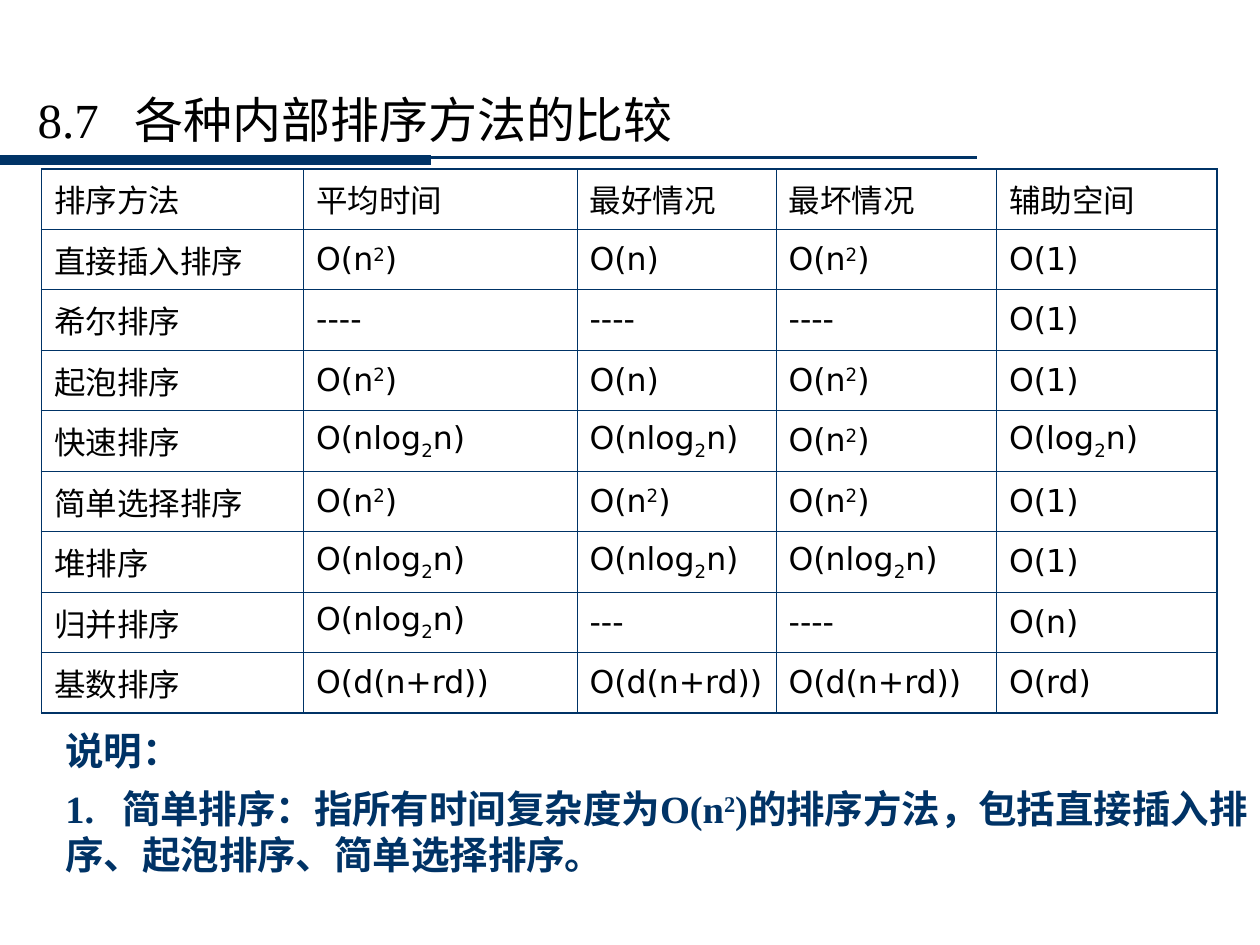
from lxml import etree
from pptx import Presentation
from pptx.enum import text as t
from pptx.dml.color import RGBColor
from pptx.oxml.ns import qn
from pptx.util import Inches, Pt

COLORS = {"navy": "003366", "black": "000000"}
TITLE = "8.7\t各种内部排序方法的比较"
# ^2 is a raised 2, _2 a lowered 2
ROWS = [
    ("排序方法", "平均时间", "最好情况", "最坏情况", "辅助空间"),
    ("直接插入排序", "O(n^2)", "O(n)", "O(n^2)", "O(1)"),
    ("希尔排序", "----", "----", "----", "O(1)"),
    ("起泡排序", "O(n^2)", "O(n)", "O(n^2)", "O(1)"),
    ("快速排序", "O(nlog_2n)", "O(nlog_2n)", "O(n^2)", "O(log_2n)"),
    ("简单选择排序", "O(n^2)", "O(n^2)", "O(n^2)", "O(1)"),
    ("堆排序", "O(nlog_2n)", "O(nlog_2n)", "O(nlog_2n)", "O(1)"),
    ("归并排序", "O(nlog_2n)", "---", "----", "O(n)"),
    ("基数排序", "O(d(n+rd))", "O(d(n+rd))", "O(d(n+rd))", "O(rd)"),
]
NOTES = [
    "说明：",
    "1.\t简单排序：指所有时间复杂度为O(n^2)的排序方法，包括直接插入排序、起泡排序、简单选择排序。",
]
WIDTHS = [2.08, 2.17, 1.58, 1.75, 1.75]
ROW_H = 0.48
RULES = [(7.75, 1.25, 1.5), (3.42, 1.27, 6)]  # length, top, weight
SHIFTS = {"^2": "30000", "_2": "-25000"}


def rgb(name):
    return RGBColor.from_string(COLORS[name])


def write(para, words, size, face, color, bold=False, tab=None):
    if tab:
        tabs = etree.SubElement(para._p.get_or_add_pPr(), qn("a:tabLst"))
        etree.SubElement(tabs, qn("a:tab"), pos=str(Inches(tab)), algn="l")
    font = para.font
    font.size, font.name, font.bold = Pt(size), face, bold
    font.color.rgb = rgb(color)
    for mark in SHIFTS:
        words = words.replace(mark, f"|{mark}|")
    for part in words.split("|"):
        run = para.add_run()
        run.text = part[1:] if part in SHIFTS else part
        if part in SHIFTS:
            run._r.get_or_add_rPr().set("baseline", SHIFTS[part])


def add_box(slide, left, top, width, height):
    frame = slide.shapes.add_textbox(*map(Inches, (left, top, width, height))).text_frame
    frame.word_wrap = True
    return frame


def add_rule(slide, length, top, weight):
    line = slide.shapes.add_connector(1, 0, Inches(top), Inches(length), Inches(top))
    line.line.color.rgb = rgb("navy")
    line.line.width = Pt(weight)
    etree.SubElement(line._element.spPr, qn("a:effectLst"))


def set_edges(cell, weights):
    """Border weights in points: left, right, top, bottom."""
    props = cell._tc.get_or_add_tcPr()
    for i, (side, weight) in enumerate(zip("LRTB", weights)):
        edge = etree.Element(qn(f"a:ln{side}"), w=str(Pt(weight)))
        fill = etree.SubElement(edge, qn("a:solidFill"))
        etree.SubElement(fill, qn("a:srgbClr"), val=COLORS["navy"])
        props.insert(i, edge)


def add_grid(slide):
    rows, cols = len(ROWS), len(WIDTHS)
    table = slide.shapes.add_table(
        rows, cols, Inches(0.33), Inches(1.34),
        Inches(sum(WIDTHS)), Inches(ROW_H * rows)).table
    table.first_row = table.horz_banding = False
    for col, width in zip(table.columns, WIDTHS):
        col.width = Inches(width)
    thin, thick, base = 0.45, 1.08, 1.47
    for r, row in enumerate(ROWS):
        table.rows[r].height = Inches(ROW_H)
        for c, words in enumerate(row):
            cell = table.cell(r, c)
            cell.fill.background()
            cell.vertical_anchor = t.MSO_ANCHOR.MIDDLE
            write(cell.text_frame.paragraphs[0], words, 18, "DejaVu Sans", "black")
            set_edges(cell, (
                thick if c == 0 else thin,
                thick if c == cols - 1 else thin,
                thick if r == 0 else thin,
                base if r == rows - 1 else thin))


def main():
    deck = Presentation()
    deck.slide_width, deck.slide_height = Inches(10), Inches(7.5)
    slide = deck.slides.add_slide(deck.slide_layouts[6])
    for rule in RULES:
        add_rule(slide, *rule)

    title = add_box(slide, 0.2, 0.82, 8.42, 0.25)
    title.vertical_anchor = t.MSO_ANCHOR.MIDDLE
    write(title.paragraphs[0], TITLE, 28, "Times New Roman", "black", tab=0.77)

    add_grid(slide)

    notes = add_box(slide, 0.42, 5.72, 9.58, 1.3)
    for i, words in enumerate(NOTES):
        para = notes.add_paragraph() if i else notes.paragraphs[0]
        if i:
            para.space_before = Pt(6.9)
        write(para, words, 22, "Times New Roman", "navy", True, tab=0.45)

    deck.save("out.pptx")


if __name__ == "__main__":
    main()
